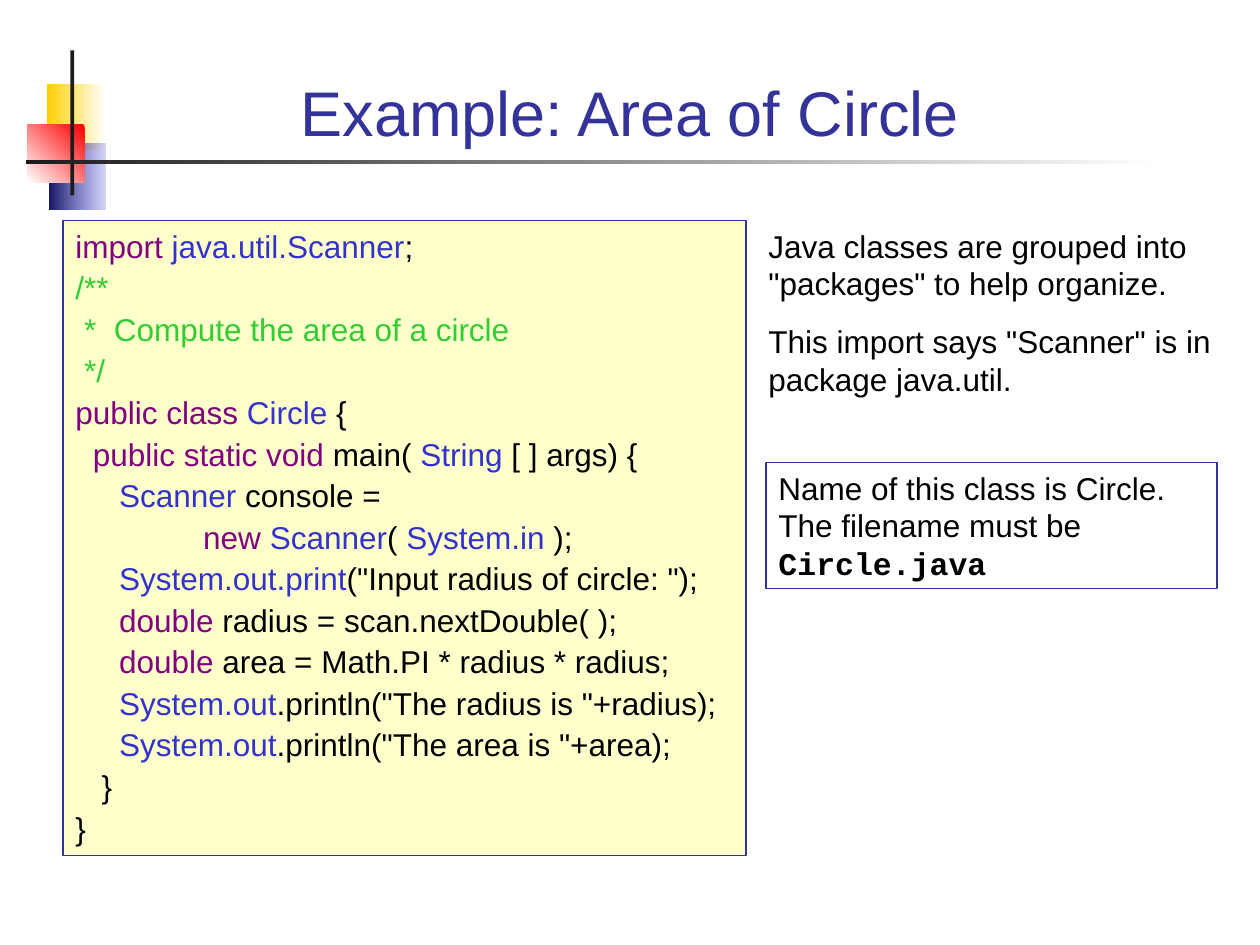
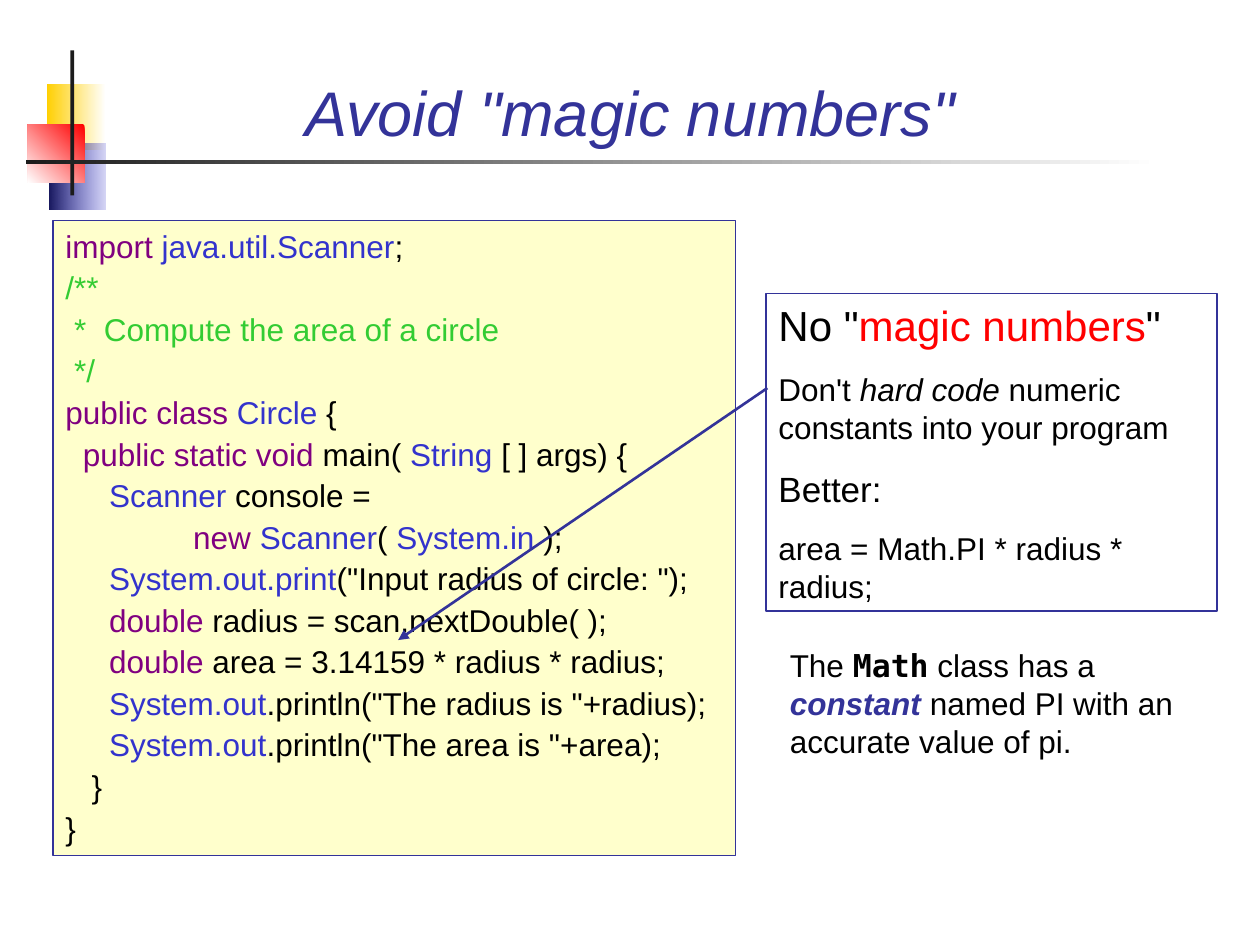
from lxml.etree import SubElement
from pptx import Presentation
from pptx.dml.color import RGBColor
from pptx.enum.shapes import MSO_CONNECTOR, MSO_SHAPE
from pptx.enum.text import MSO_ANCHOR, MSO_AUTO_SIZE, PP_ALIGN
from pptx.oxml.ns import qn
from pptx.util import Inches, Pt

COLORS = {
    "title": "333399", "text": "000000", "keyword": "800080", "type": "3333CC",
    "comment": "33CC33", "alert": "FF0000", "code_fill": "FFFFCC", "bar": "1C1C1C",
    "white": "FFFFFF", "gold": "FFCF01", "navy": "17175E",
}
FONT = "Arial"
TAB_STOP = Inches(0.39)


def rgb(name):
    """Return the named colour."""
    return RGBColor.from_string(COLORS[name])


def add_rect(slide, left, top, width, height):
    """Add a plain rectangle without fill, line or shadow."""
    sp = slide.shapes.add_shape(MSO_SHAPE.RECTANGLE, Inches(left), Inches(top),
                                Inches(width), Inches(height))
    sp.shadow.inherit = False
    sp.fill.background()
    sp.line.fill.background()
    return sp


def add_gradient_rect(slide, box, start, end, angle=180, start_alpha=None):
    """Add a rectangle with a two-colour gradient, angle clockwise."""
    sp = add_rect(slide, *box)
    sp.fill.gradient()
    sp.fill.gradient_angle = 360 - angle
    for stop, color in zip(sp.fill.gradient_stops, (start, end)):
        stop.color.rgb = rgb(color)
    if start_alpha is not None:
        clr = sp.element.xpath(".//a:gs/a:srgbClr")[0]
        SubElement(clr, qn("a:alpha")).set("val", str(start_alpha * 1000))
    return sp


def decorate_layout(layout, slide):
    """Put the coloured squares and crossing bars on the layout."""
    for ph in list(layout.placeholders)[1:]:
        ph.element.getparent().remove(ph.element)
    squares = [
        add_gradient_rect(slide, (0.37, 0.67, 0.47, 0.52), "white", "gold"),
        add_gradient_rect(slide, (0.39, 1.14, 0.45, 0.52), "type", "navy", start_alpha=20),
        add_gradient_rect(slide, (0.22, 0.99, 0.45, 0.46), "alert", "white", angle=135),
    ]
    upright = add_rect(slide, 0.56, 0.4, 0.03, 1.15)
    upright.fill.solid()
    upright.fill.fore_color.rgb = rgb("bar")
    rule = add_gradient_rect(slide, (0.21, 1.27, 8.99, 0.03), "white", "bar")
    for sp in [*squares, upright, rule]:
        layout.shapes.element.append(sp.element)


def set_title(slide, text, italic=False):
    """Place and format the slide title."""
    title = slide.shapes.title
    title.left, title.top = Inches(0.67), Inches(0.28)
    title.width, title.height = Inches(8.66), Inches(0.95)
    tf = title.text_frame
    tf.text = text
    tf.vertical_anchor = MSO_ANCHOR.BOTTOM
    p = tf.paragraphs[0]
    p.alignment = PP_ALIGN.CENTER
    p.font.name, p.font.size = FONT, Pt(36)
    p.font.italic = italic
    p.font.color.rgb = rgb("title")


def add_tab_stop(p):
    """Give the paragraph its first tab stop."""
    tabs = SubElement(p._p.get_or_add_pPr(), qn("a:tabLst"))
    SubElement(tabs, qn("a:tab"), pos=str(TAB_STOP), algn="l")


def style_run(r, color, name=None, bold=None, italic=None):
    """Apply what sets a run apart from its paragraph."""
    r.font.color.rgb = rgb(color)
    r.font.name, r.font.bold, r.font.italic = name, bold, italic


def write(tf, paragraphs, space_before):
    """Fill the frame with (size, runs); a run is text, colour and styles."""
    tf.word_wrap = True
    tf.auto_size = MSO_AUTO_SIZE.SHAPE_TO_FIT_TEXT
    tf.vertical_anchor = MSO_ANCHOR.TOP
    for i, (size, runs) in enumerate(paragraphs):
        p = tf.paragraphs[0] if i == 0 else tf.add_paragraph()
        p.alignment = PP_ALIGN.LEFT
        if i:
            p.space_before = Pt(size * space_before)
        if runs[0][0].startswith("\t"):
            add_tab_stop(p)
        p.font.name, p.font.size = FONT, Pt(size)
        if len(runs) == 1:
            p.font.color.rgb = rgb(runs[0][1])
        for text, color, *styles in runs:
            r = p.add_run()
            r.text = text
            if len(runs) > 1:
                style_run(r, color, *styles)


def add_panel(slide, box, paragraphs, space_before=0.625, fill=None):
    """Add an outlined text panel."""
    sp = add_rect(slide, *box)
    sp.line.color.rgb = rgb("title")
    sp.line.width = Pt(0.75)
    if fill:
        sp.fill.solid()
        sp.fill.fore_color.rgb = rgb(fill)
    write(sp.text_frame, paragraphs, space_before)


def add_note(slide, box, paragraphs):
    """Add a text box without outline."""
    sp = slide.shapes.add_textbox(*map(Inches, box))
    write(sp.text_frame, paragraphs, 0.625)


def add_code(slide, left, pi):
    """Add the Circle program, with the given expression for pi."""
    lines = [
        [("import ", "keyword"), ("java.util.Scanner", "type"), (";", "text")],
        [("/**", "comment")],
        [(" *  Compute the area of a circle", "comment")],
        [(" */", "comment")],
        [("public class ", "keyword"), ("Circle", "type"), (" {", "text")],
        [("  public static void", "keyword"), (" main( ", "text"), ("String", "type"),
         (" [ ] args) {", "text")],
        [("     Scanner", "type"), (" console =", "text")],
        [("\t         new ", "keyword"), ("Scanner", "type"), ("( ", "text"),
         ("System.in", "type"), (" );", "text")],
        [("     System.out.print", "type"), ('("Input radius of circle: ");', "text")],
        [("     double", "keyword"), (" radius = scan.nextDouble( );", "text")],
        [("     double", "keyword"), (f" area = {pi} * radius * radius;", "text")],
        [("     System.out", "type"), ('.println("The radius is "+radius);', "text")],
        [("     System.out", "type"), ('.println("The area is "+area);', "text")],
        [("   }", "text")],
        [("}", "text")],
    ]
    add_panel(slide, (left, 1.75, 5.42, 5.04), [(18, line) for line in lines],
              space_before=0.12, fill="code_fill")


def add_arrow(slide, start, end):
    """Add a straight line with an arrowhead at its end."""
    cx = slide.shapes.add_connector(MSO_CONNECTOR.STRAIGHT, *map(Inches, start + end))
    cx.line.color.rgb = rgb("title")
    cx.line.width = Pt(1.5)
    SubElement(cx.line._get_or_add_ln(), qn("a:tailEnd"), type="triangle")
    SubElement(cx.element.spPr, qn("a:effectLst"))


def build_area_slide(slide):
    """Show the program that computes the area of a circle."""
    set_title(slide, "Example: Area of Circle")
    add_code(slide, 0.5, "Math.PI")
    add_note(slide, (6, 1.75, 3.73, 1.46), [
        (18, [('Java classes are grouped into "packages" to help organize.', "text")]),
        (18, [('This import says "Scanner" is in package java.util.', "text")]),
    ])
    add_panel(slide, (6.08, 3.67, 3.58, 1), [
        (18, [("Name of this class is Circle. The filename must be ", "text"),
              ("Circle.java", "text", "Courier New", True)]),
    ])


def build_magic_slide(slide):
    """Warn against numeric constants in the program."""
    set_title(slide, 'Avoid "magic numbers"', italic=True)
    add_panel(slide, (6.08, 2.33, 3.58, 2.52), [
        (24, [('No "', "text"), ("magic numbers", "alert"), ('"', "text")]),
        (18, [("Don't ", "text"), ("hard code", "text", None, None, True),
              (" numeric constants into your program", "text")]),
        (20, [("Better:", "text")]),
        (18, [("area = Math.PI * radius * radius;", "text")]),
    ])
    add_note(slide, (6.17, 5.08, 3.5, 1), [
        (18, [("The ", "text"), ("Math", "text", "DejaVu Sans Mono", True),
              (" class has a ", "text"), ("constant", "title", None, True, True),
              (" named PI with an accurate value of pi.", "text")]),
    ])
    add_code(slide, 0.42, "3.14159")
    add_arrow(slide, (6.09, 3.08), (3.16, 5.08))


def main():
    """Build the two slides and save them."""
    prs = Presentation()
    prs.slide_width, prs.slide_height = Inches(10), Inches(7.5)
    layout = prs.slide_layouts[5]
    area, magic = (prs.slides.add_slide(layout) for _ in range(2))
    decorate_layout(layout, area)
    build_area_slide(area)
    build_magic_slide(magic)
    prs.save("out.pptx")


if __name__ == "__main__":
    main()
